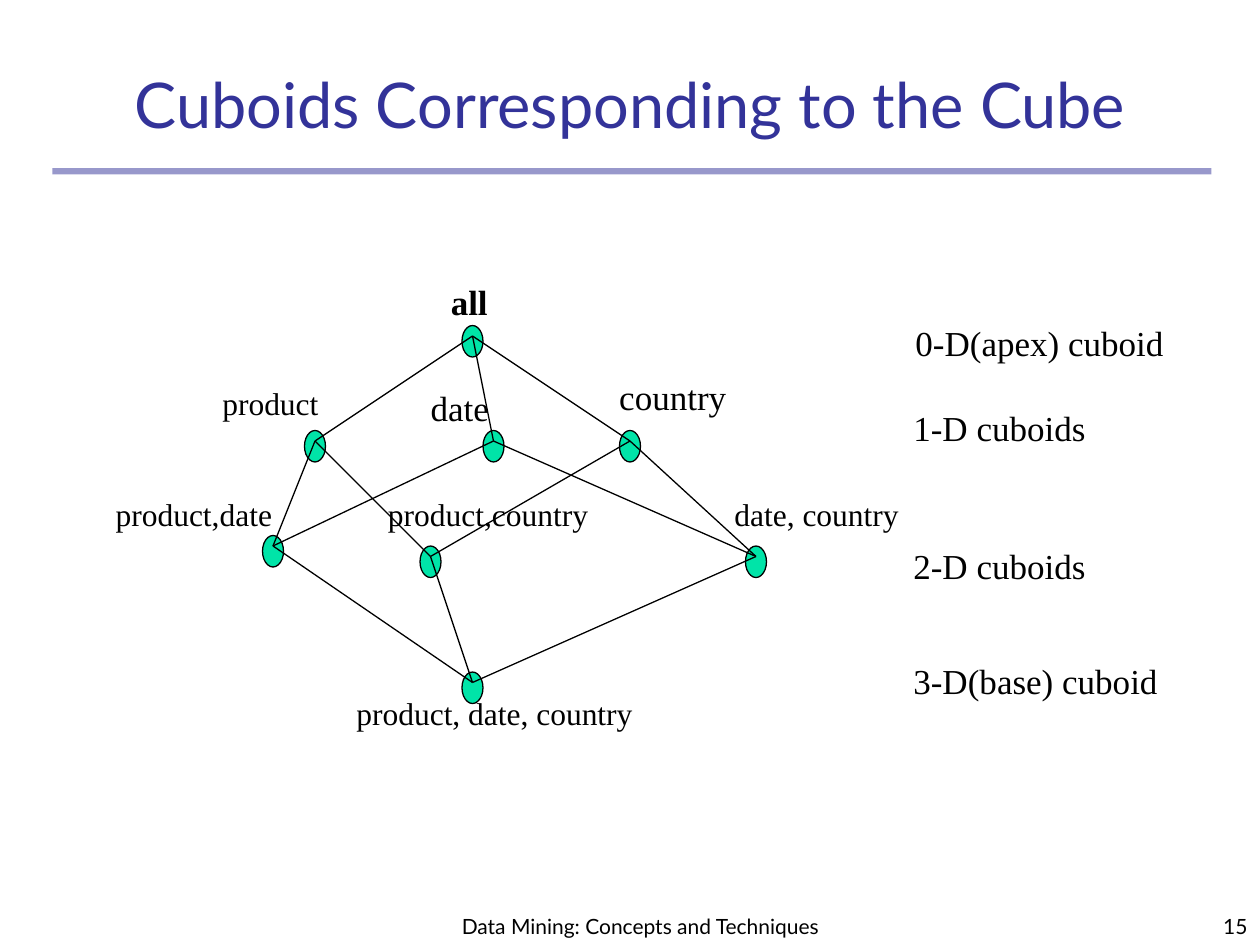
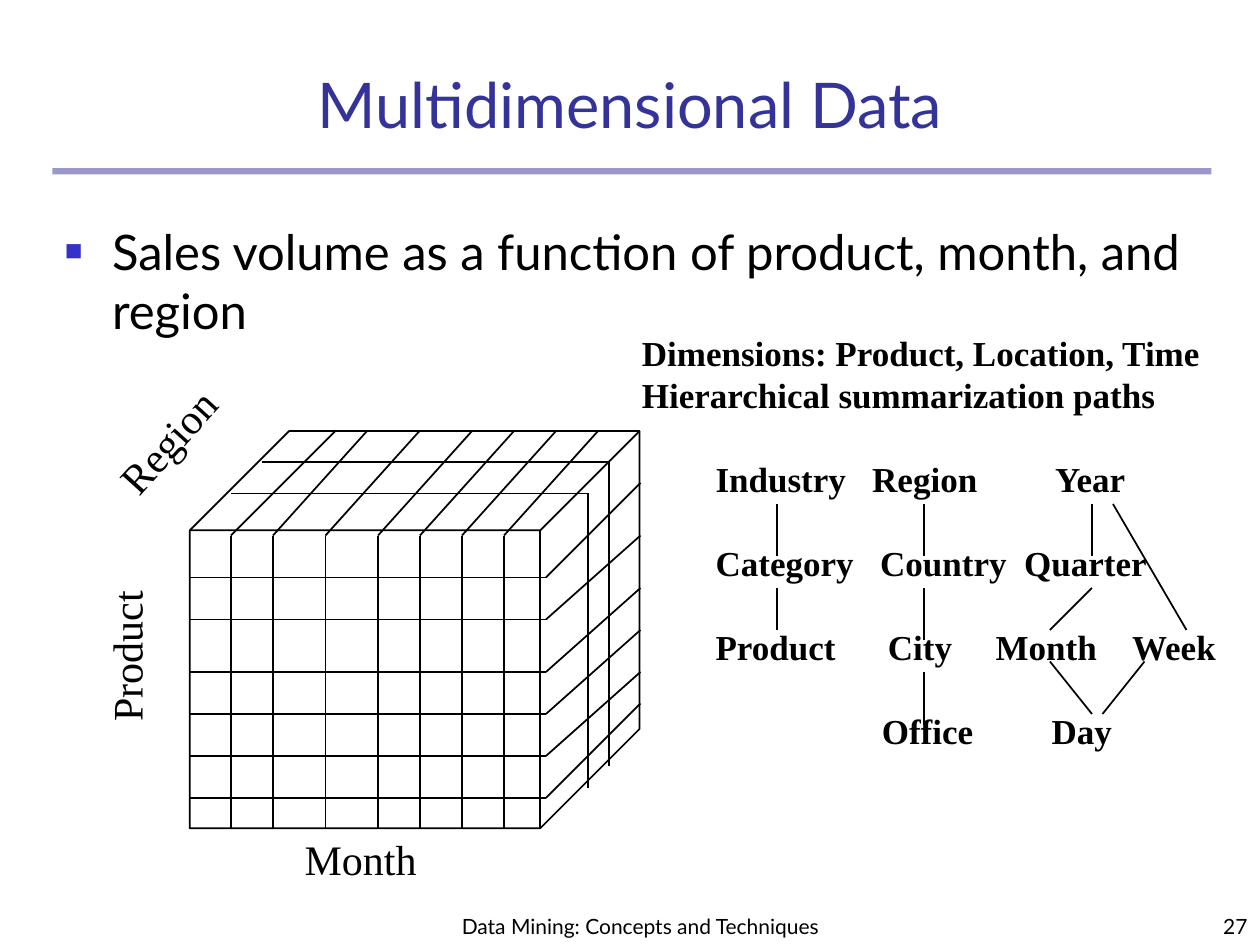
from dataclasses import dataclass
from itertools import product

from lxml.etree import SubElement
from pptx import Presentation
from pptx.dml.color import RGBColor
from pptx.enum.shapes import MSO_CONNECTOR, MSO_SHAPE
from pptx.enum.text import MSO_ANCHOR, MSO_AUTO_SIZE, PP_ALIGN
from pptx.oxml.ns import qn
from pptx.util import Pt


@dataclass(frozen=True)
class Theme:
    ink: str = "000000"
    heading: str = "333399"
    bullet: str = "3333CC"
    node: str = "00E4A8"
    sans: str = "Lato"
    serif: str = "Times New Roman"
    title_size: int = 36
    body_size: int = 28
    axis_size: int = 24
    label_size: int = 20
    small_size: int = 18
    footer_size: int = 12
    thin: float = 0.75
    line: float = 1


THEME = Theme()

# Content shared by the slides
FOOTER = "Data Mining: Concepts and Techniques"

# Cuboid lattice: grouped dimensions -> left, top of the node
LATTICE_TITLE, LATTICE_PAGE = "Cuboids Corresponding to the Cube", "15"
CUBOIDS = {
    (): (264, 186),
    ("product",): (174, 246),
    ("date",): (276, 246),
    ("country",): (354, 246),
    ("product", "date"): (150, 306),
    ("date", "country"): (426, 312),
    ("product", "country"): (240, 312),
    ("product", "date", "country"): (264, 384),
}
NODE_WIDTH, NODE_HEIGHT, NODE_JOINT = 12, 18, 6
# Text, left, top, width, size, bold
CUBOID_LABELS = [
    ("all", 250.5, 157, 38, THEME.label_size, True),
    ("product", 120, 216, 72, THEME.small_size, False),
    ("date", 239, 217.5, 50, THEME.label_size, False),
    ("country", 346.8, 211, 78, THEME.label_size, False),
    ("product,date", 59, 279.5, 106, THEME.small_size, False),
    ("product,country", 214.6, 279.5, 132, THEME.small_size, False),
    ("date, country", 412.6, 279.5, 111, THEME.small_size, False),
    ("product, date, country", 196.6, 393, 175, THEME.small_size, False),
    ("0-D(apex) cuboid", 516, 180, 159, THEME.label_size, False),
    ("1-D cuboids", 514.8, 229, 116, THEME.label_size, False),
    ("2-D cuboids", 514.8, 307.3, 116, THEME.label_size, False),
    ("3-D(base) cuboid", 514.8, 373.2, 157, THEME.label_size, False),
]

# Data cube
CUBE_TITLE, CUBE_PAGE = "Multidimensional Data", "27"
STATEMENT = "Sales volume as a function of product, month, and region"
CUBE_BOX = (108.5, 246.3, 257, 227)
FRONT_LEFT, FRONT_RIGHT, FRONT_TOP, FRONT_BOTTOM = 108, 312, 306, 474
BACK_RIGHT, BACK_TOP = 366, 246
# Front and back position of each slice
MONTH_SLICES = [(132, 192), (156, 210), (186, 240), (216, 270),
                (240, 294), (264, 318), (288, 342)]
PRODUCT_SLICES = [(330, 276), (354, 306), (384, 336),
                  (408, 360), (432, 384), (456, 402)]
# Left, right, top, bottom of each slice
REGION_SLICES = [(150, 348, 264, 438), (132, 336, 282, 450)]
# Text, box, rotation
AXES = [
    ("Product", (26.5, 356, 91, 36), 270),
    ("Region", (54, 234, 83.5, 36), 312),
    ("Month", (167, 473, 81, 36), 0),
]

# Concept hierarchies
DIMENSION_NOTES = ["Dimensions: Product, Location, Time",
                   "Hierarchical summarization paths"]
# Words of each level, with the tab stops of the second and later words
LEVELS = [
    (("Industry", "Region", "Year"), (89.5, 194)),
    (("Category", "Country", "Quarter"), (94, 176.3)),
    (("Product", "City", "Month", "Week"), (98.5, 160, 238)),
    (("", "Office", "Day"), (95, 192)),
]
LINE_PITCH = 24
PATHS = [
    (444, 288, 444, 318), (528, 288, 528, 318), (624, 288, 624, 318),
    (444, 336, 444, 360), (528, 336, 528, 366), (528, 384, 528, 414),
    (624, 336, 600, 360), (636, 288, 678, 360),
    (600, 378, 624, 408), (654, 378, 630, 408),
]


def color(code):
    return RGBColor.from_string(code)


def add_run(paragraph, text, size, font=THEME.serif, ink=THEME.ink, bold=False):
    run = paragraph.add_run()
    run.text = text
    run.font.name, run.font.size, run.font.bold = font, Pt(size), bold
    run.font.color.rgb = color(ink)


def add_frame(slide, box, anchor=MSO_ANCHOR.TOP, grow=False):
    holder = slide.shapes.add_textbox(*map(Pt, box))
    frame = holder.text_frame
    frame.word_wrap, frame.vertical_anchor = True, anchor
    frame.auto_size = MSO_AUTO_SIZE.SHAPE_TO_FIT_TEXT if grow else MSO_AUTO_SIZE.NONE
    return holder, frame


def add_label(slide, text, box, size, bold=False, rotation=0):
    holder, frame = add_frame(slide, box, grow=True)
    holder.rotation = rotation
    add_run(frame.paragraphs[0], text, size, bold=bold)


def add_heading(slide, text, box, size, align=PP_ALIGN.CENTER, ink=THEME.ink):
    paragraph = add_frame(slide, box, MSO_ANCHOR.BOTTOM)[1].paragraphs[0]
    paragraph.alignment = align
    add_run(paragraph, text, size, THEME.sans, ink)


def add_line(slide, x1, y1, x2, y2, width=THEME.line):
    line = slide.shapes.add_connector(
        MSO_CONNECTOR.STRAIGHT, Pt(x1), Pt(y1), Pt(x2), Pt(y2))
    line.line.color.rgb, line.line.width = color(THEME.ink), Pt(width)
    SubElement(line._element.spPr, qn("a:effectLst"))


def add_solid(slide, preset, box, fill=None, outline=None):
    solid = slide.shapes.add_shape(preset, *map(Pt, box))
    solid.shadow.inherit = False
    if fill:
        solid.fill.solid()
        solid.fill.fore_color.rgb = color(fill)
    else:
        solid.fill.background()
    if outline:
        solid.line.color.rgb, solid.line.width = color(THEME.ink), Pt(outline)
    else:
        solid.line.fill.background()
    return solid


def start_slide(deck, title, page):
    slide = deck.slides.add_slide(deck.slide_layouts[6])
    rule = add_solid(slide, MSO_SHAPE.RECTANGLE, (30, 96, 662.3, 3.6), THEME.heading)
    tint = rule._element.spPr.find(qn("a:solidFill"))[0]
    SubElement(tint, qn("a:alpha"), val="50000")
    add_heading(slide, FOOTER, (252, 498, 228, 42), THEME.footer_size)
    add_heading(slide, page, (570, 504, 150, 36), THEME.footer_size, PP_ALIGN.RIGHT)
    add_heading(slide, title, (30, 30, 660, 54), THEME.title_size, ink=THEME.heading)
    return slide


def build_lattice(deck):
    slide = start_slide(deck, LATTICE_TITLE, LATTICE_PAGE)
    for left, top in CUBOIDS.values():
        add_solid(slide, MSO_SHAPE.FLOWCHART_CONNECTOR,
                  (left, top, NODE_WIDTH, NODE_HEIGHT), THEME.node, THEME.thin)

    # Join each cuboid to those with exactly one more dimension
    for upper, lower in product(CUBOIDS, repeat=2):
        if len(lower) == len(upper) + 1 and set(upper) < set(lower):
            ends = CUBOIDS[upper] + CUBOIDS[lower]
            add_line(slide, *(end + NODE_JOINT for end in ends), width=THEME.thin)

    for text, left, top, width, size, bold in CUBOID_LABELS:
        add_label(slide, text, (left, top, width, size * 1.2 + 7.2), size, bold)


def add_statement(slide):
    paragraph = add_frame(slide, (30, 123, 654, 360))[1].paragraphs[0]
    paragraph.space_before = Pt(7)
    add_run(paragraph, STATEMENT, THEME.body_size, THEME.sans)
    settings = paragraph._p.get_or_add_pPr()
    settings.set("marL", str(Pt(27)))
    settings.set("indent", str(-Pt(27)))
    tint = SubElement(settings, qn("a:buClr"))
    SubElement(tint, qn("a:srgbClr"), val=THEME.bullet)
    SubElement(settings, qn("a:buSzPct"), val="60000")
    SubElement(settings, qn("a:buFont"), typeface=THEME.serif)
    SubElement(settings, qn("a:buChar"), char="■")


def add_cube(slide):
    cube = add_solid(slide, MSO_SHAPE.CUBE, CUBE_BOX, outline=THEME.line)
    cube.adjustments[0] = 0.25
    for front, back in PRODUCT_SLICES:
        add_line(slide, FRONT_LEFT, front, FRONT_RIGHT, front)
        add_line(slide, FRONT_RIGHT, front, BACK_RIGHT, back)
    for front, back in MONTH_SLICES:
        add_line(slide, front, FRONT_TOP, front, FRONT_BOTTOM)
        add_line(slide, front, FRONT_TOP, back, BACK_TOP)
    for left, right, top, bottom in REGION_SLICES:
        add_line(slide, left, top, right, top)
        add_line(slide, right, top, right, bottom)
    for text, box, rotation in AXES:
        add_label(slide, text, box, THEME.axis_size, rotation=rotation)


def add_lines(frame, lines):
    for index, text in enumerate(lines):
        paragraph = frame.add_paragraph() if index else frame.paragraphs[0]
        paragraph.line_spacing = Pt(LINE_PITCH)
        add_run(paragraph, text, THEME.label_size, bold=True)


def add_hierarchies(slide):
    notes = add_frame(slide, (359.7, 186, 338, 55.4), grow=True)[1]
    add_lines(notes, DIMENSION_NOTES)

    levels = add_frame(slide, (401.8, 258, 306, 175.5))[1]
    add_lines(levels, ["\t".join(words) for words, _ in LEVELS])
    for index, (paragraph, (_, stops)) in enumerate(zip(levels.paragraphs, LEVELS)):
        paragraph.space_before = Pt(LINE_PITCH if index else 0)
        tabs = SubElement(paragraph._p.get_or_add_pPr(), qn("a:tabLst"))
        for stop in stops:
            SubElement(tabs, qn("a:tab"), pos=str(Pt(stop)), algn="l")

    for path in PATHS:
        add_line(slide, *path)


def build_cube(deck):
    slide = start_slide(deck, CUBE_TITLE, CUBE_PAGE)
    add_statement(slide)
    add_cube(slide)
    add_hierarchies(slide)


def main():
    deck = Presentation()
    deck.slide_width, deck.slide_height = Pt(720), Pt(540)
    build_lattice(deck)
    build_cube(deck)
    deck.save("out.pptx")


if __name__ == "__main__":
    main()
